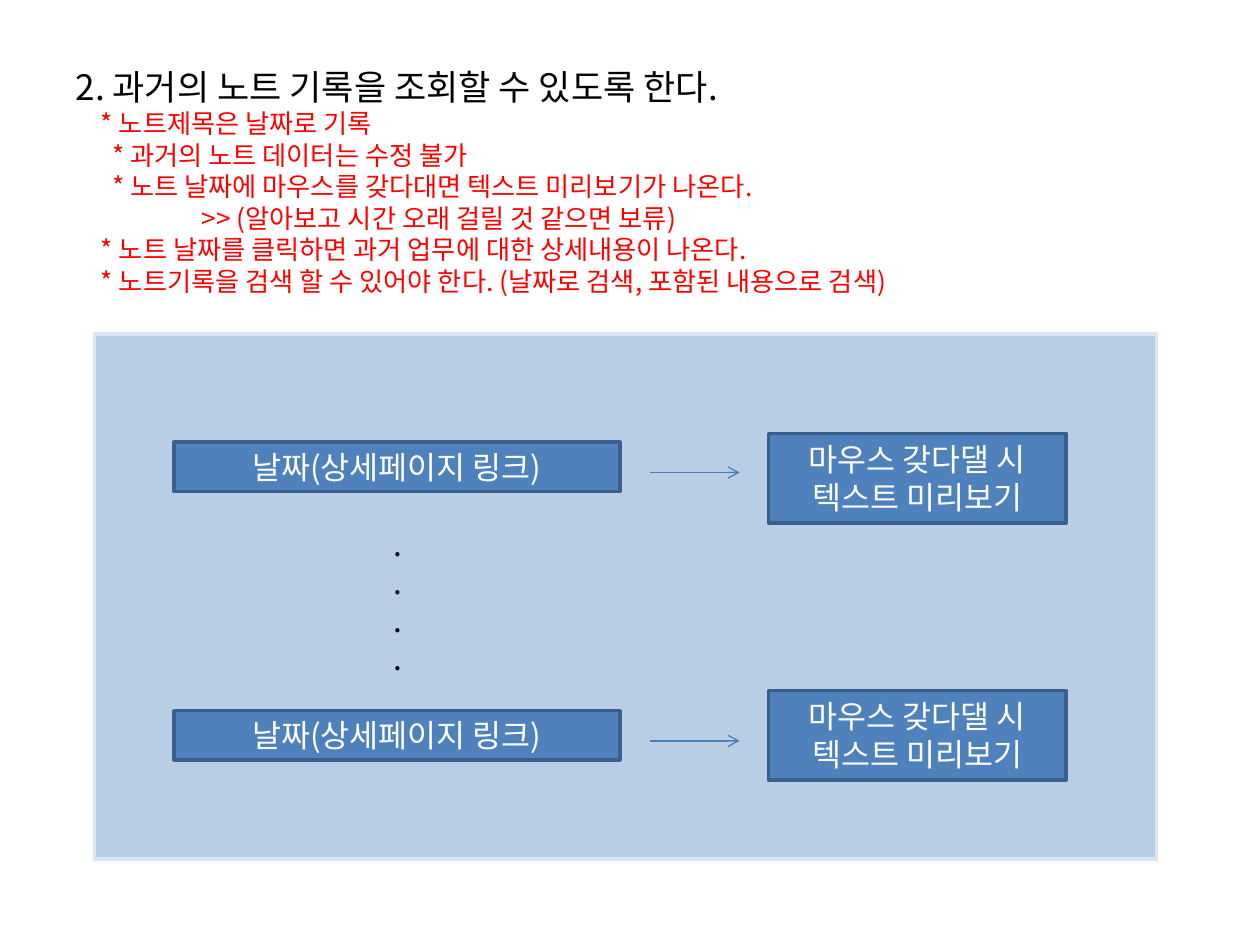
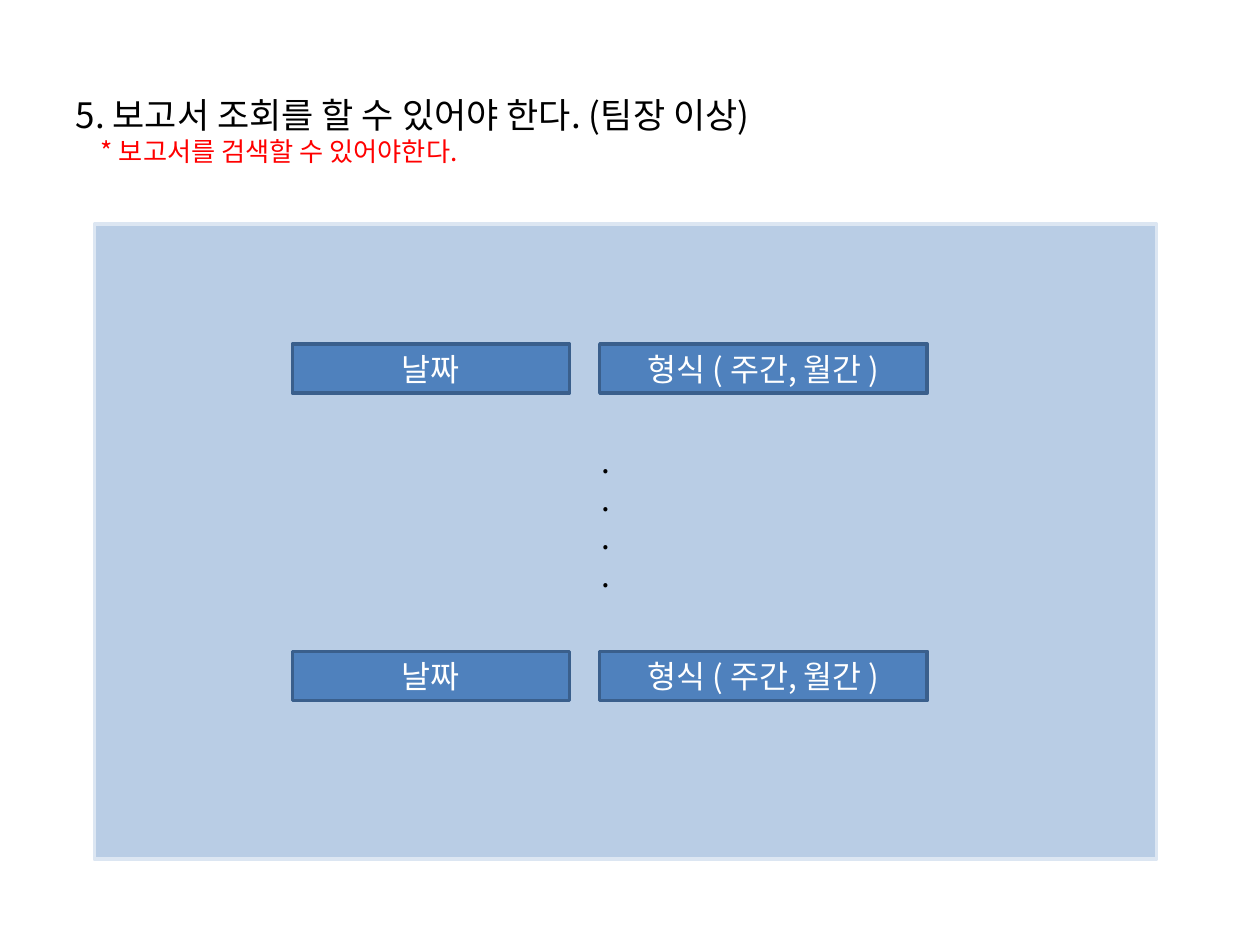
from pptx import Presentation
from pptx.dml.color import RGBColor
from pptx.enum.shapes import MSO_CONNECTOR as CONN, MSO_SHAPE as SHAPE
from pptx.enum.text import MSO_ANCHOR as ANCHOR, PP_ALIGN as ALIGN
from pptx.oxml.ns import qn
from pptx.util import Inches, Pt
from lxml.etree import SubElement

FONT = "Noto Sans CJK KR"
HEADING = {"size": Pt(20), "color": "000000"}
NOTE = {"size": Pt(15), "color": "FF0000"}
LABEL = {"size": Pt(18), "color": "FFFFFF"}
DOT = {"size": Pt(18), "color": "000000"}
PANEL = {"fill": "B9CDE5", "line": "DCE6F2"}
BOX = {"fill": "4F81BD", "line": "3A5F8C"}
ARROW = "4B7EBC"


def rgb(value):
    return RGBColor.from_string(value)


class Deck:
    def __init__(self):
        self.prs = Presentation()
        self.prs.slide_width = Inches(10)
        self.prs.slide_height = Inches(7.5)
        self.slide = None

    def add_slide(self):
        self.slide = self.prs.slides.add_slide(self.prs.slide_layouts[5])

    def add_lines(self, tf, lines, style, align, first=True):
        for i, line in enumerate(lines):
            p = tf.paragraphs[0] if first and i == 0 else tf.add_paragraph()
            p.alignment = align
            r = p.add_run()
            r.text = line
            for name, value in style.items():
                if name == "color":
                    r.font.color.rgb = rgb(value)
                else:
                    setattr(r.font, name, value)
            r.font.name = FONT
            SubElement(r.font._element, qn("a:ea")).set("typeface", FONT)

    def title(self, height, heading, notes):
        sp = self.slide.shapes.title
        frame = {"left": 0.5, "top": 0.3, "width": 9, "height": height}
        for name, value in frame.items():
            setattr(sp, name, Inches(value))
        tf = sp.text_frame
        tf.vertical_anchor = ANCHOR.MIDDLE
        self.add_lines(tf, [heading], HEADING, ALIGN.LEFT)
        for indent, note in notes:
            self.add_lines(tf, [note], NOTE, ALIGN.LEFT, first=False)
            pPr = tf.paragraphs[-1]._p.get_or_add_pPr()
            pPr.set("marL", str(Inches(indent)))
            pPr.set("indent", "0")

    def rect(self, x, y, w, h, look, text=None):
        sp = self.slide.shapes.add_shape(
            SHAPE.RECTANGLE, Inches(x), Inches(y), Inches(w), Inches(h))
        sp.shadow.inherit = False
        sp.fill.solid()
        sp.fill.fore_color.rgb = rgb(look["fill"])
        sp.line.color.rgb = rgb(look["line"])
        sp.line.width = Pt(2)
        if text:
            sp.text_frame.vertical_anchor = ANCHOR.MIDDLE
            self.add_lines(sp.text_frame, [text], LABEL, ALIGN.CENTER)

    def panel(self, top):
        self.rect(0.75, top, 8.43, 6.82 - top, PANEL)

    def dots(self, x, y, h):
        sp = self.slide.shapes.add_textbox(
            Inches(x), Inches(y), Inches(0.87), Inches(h))
        tf = sp.text_frame
        tf.word_wrap = True
        tf.vertical_anchor = ANCHOR.MIDDLE
        self.add_lines(tf, ["."] * 4, DOT, ALIGN.CENTER)

    def arrow(self, x1, x2, y):
        cxn = self.slide.shapes.add_connector(
            CONN.STRAIGHT, Inches(x1), Inches(y), Inches(x2), Inches(y))
        cxn.line.color.rgb = rgb(ARROW)
        cxn.line.width = Pt(0.75)
        ln = cxn._element.spPr.find(qn("a:ln"))
        SubElement(ln, qn("a:tailEnd")).set("type", "arrow")
        SubElement(cxn._element.spPr, qn("a:effectLst"))


def note_history(deck):
    deck.add_slide()
    deck.title(2.27, "2. 과거의 노트 기록을 조회할 수 있도록 한다.", [
        (0.2, "* 노트제목은 날짜로 기록"),
        (0.29, "* 과거의 노트 데이터는 수정 불가"),
        (0.29, "* 노트 날짜에 마우스를 갖다대면 텍스트 미리보기가 나온다."),
        (1, ">> (알아보고 시간 오래 걸릴 것 같으면 보류)"),
        (0.2, "* 노트 날짜를 클릭하면 과거 업무에 대한 상세내용이 나온다."),
        (0.2, "* 노트기록을 검색 할 수 있어야 한다. (날짜로 검색, 포함된 내용으로 검색)"),
    ])
    deck.panel(2.65)
    for date_y, preview_y in ((3.51, 3.44), (5.64, 5.48)):
        deck.rect(1.38, date_y, 3.54, 0.39, BOX, "날짜(상세페이지 링크)")
        deck.arrow(5.16, 5.87, date_y + 0.24)
        deck.rect(6.1, preview_y, 2.36, 0.71, BOX, "마우스 갖다댈 시 텍스트 미리보기")
    deck.dots(2.72, 4.14, 1.26)


def report_search(deck):
    deck.add_slide()
    deck.title(1.47, "5. 보고서 조회를 할 수 있어야 한다. (팀장 이상)", [
        (0.2, "* 보고서를 검색할 수 있어야한다."),
    ])
    deck.panel(1.78)
    for y in (2.73, 5.17):
        deck.rect(2.32, y, 2.2, 0.39, BOX, "날짜")
        deck.rect(4.76, y, 2.6, 0.39, BOX, "형식 ( 주간, 월간 )")
    deck.dots(4.37, 3.44, 1.34)


def main():
    deck = Deck()
    note_history(deck)
    report_search(deck)
    deck.prs.save("out.pptx")


if __name__ == "__main__":
    main()
